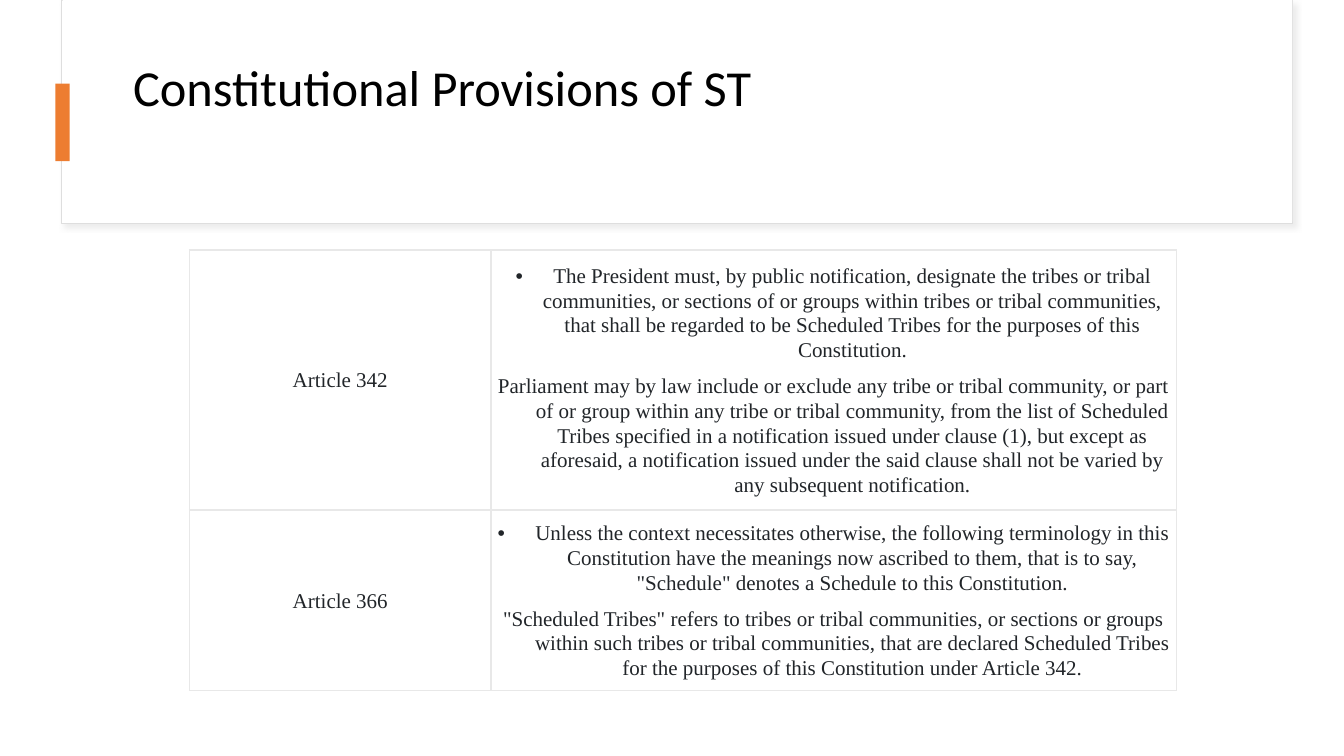
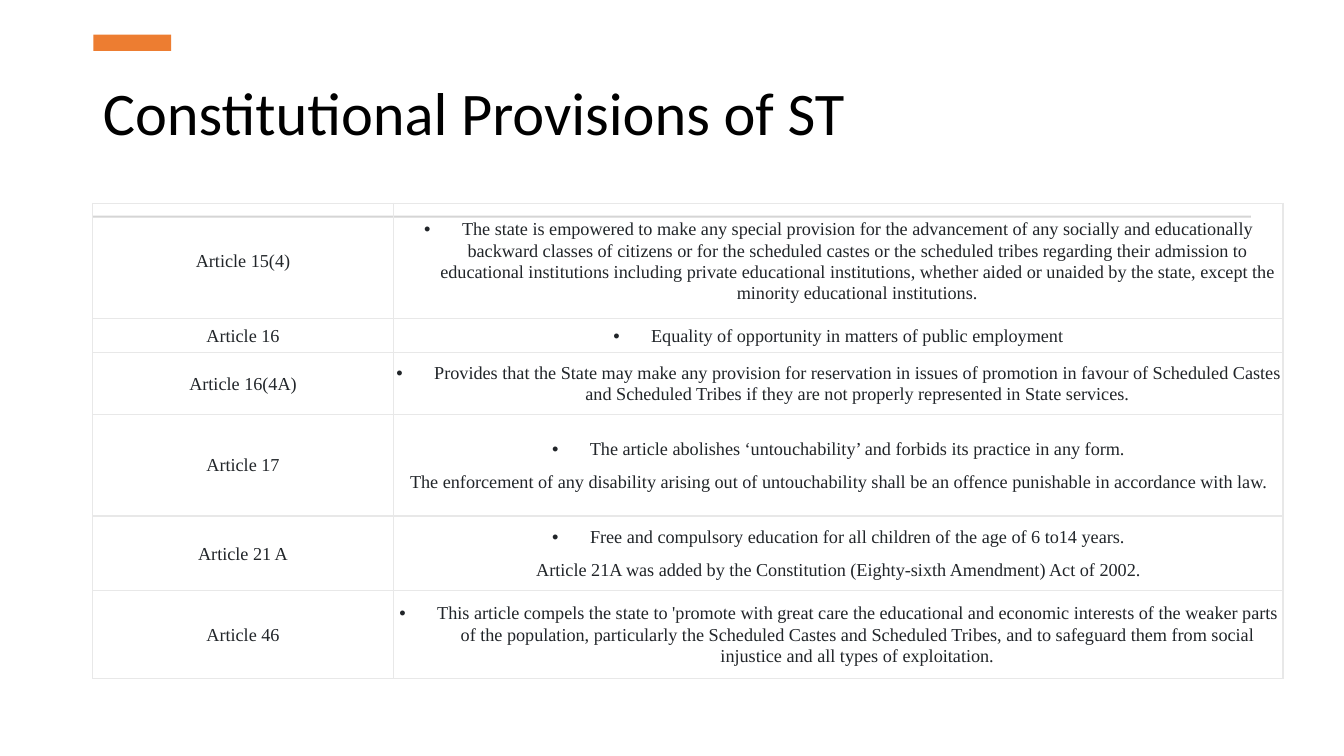
"""Build two slides on the constitutional provisions for Scheduled Tribes."""
from dataclasses import dataclass

from lxml.etree import SubElement
from pptx import Presentation
from pptx.dml.color import RGBColor
from pptx.enum.shapes import MSO_SHAPE
from pptx.enum.text import MSO_ANCHOR, MSO_AUTO_SIZE, PP_ALIGN
from pptx.oxml.ns import qn
from pptx.util import Inches, Pt


@dataclass(frozen=True)
class Theme:
    """Colours, fonts, type sizes and spacing of the deck."""
    paper: str = "FFFFFF"
    accent: str = "ED7D31"
    card_edge: str = "DEDEDE"
    card_shadow: str = "D9D9D9"
    rule: str = "D5D5D5"
    border: str = "E8E8E8"
    heading: str = "000000"
    body: str = "212529"
    heading_font: str = "Calibri"
    body_font: str = "Times New Roman"
    heading_size: float = 36
    large_heading_size: float = 43.2
    body_size: float = 15
    small_body_size: float = 13
    cell_inset: float = 0.75
    hanging: float = 27
    tab: float = 36


HEADING = "Constitutional Provisions of ST"

DEFINITIONS = [
    ("Article 342", [
        "The President must, by public notification, designate the tribes or tribal communities, or sections of or groups within tribes or tribal communities, that shall be regarded to be Scheduled Tribes for the purposes of this Constitution.",
        "Parliament may by law include or exclude any tribe or tribal community, or part of or group within any tribe or tribal community, from the list of Scheduled Tribes specified in a notification issued under clause (1), but except as aforesaid, a notification issued under the said clause shall not be varied by any subsequent notification.",
    ]),
    ("Article 366", [
        'Unless the context necessitates otherwise, the following terminology in this Constitution have the meanings now ascribed to them, that is to say, "Schedule" denotes a Schedule to this Constitution.',
        '"Scheduled Tribes" refers to tribes or tribal communities, or sections or groups within such tribes or tribal communities, that are declared Scheduled Tribes for the purposes of this Constitution under Article 342.',
    ]),
]

SAFEGUARDS = [
    ("Article 15(4)", [
        "The state is empowered to make any special provision for the advancement of any socially and educationally backward classes of citizens or for the scheduled castes or the scheduled tribes regarding their admission to educational institutions including private educational institutions, whether aided or unaided by the state, except the minority educational institutions.",
    ]),
    ("Article 16", [
        "Equality of opportunity in matters of public employment",
    ]),
    ("Article 16(4A)", [
        "Provides that the State may make any provision for reservation in issues of promotion in favour of Scheduled Castes and Scheduled Tribes if they are not properly represented in State services.",
    ]),
    ("Article 17", [
        "The article abolishes ‘untouchability’ and forbids its practice in any form.",
        "The enforcement of any disability arising out of untouchability shall be an offence punishable in accordance with law.",
    ]),
    ("Article 21 A", [
        "Free and compulsory education for all children of the age of 6 to14 years.",
        "Article 21A was added by the Constitution (Eighty-sixth Amendment) Act of 2002.",
    ]),
    ("Article 46", [
        "This article compels the state to 'promote with great care the educational and economic interests of the weaker parts of the population, particularly the Scheduled Castes and Scheduled Tribes, and to safeguard them from social injustice and all types of exploitation.",
    ]),
]


def assign(target, values):
    """Set each attribute of the target named in values."""
    for name, value in values.items():
        setattr(target, name, value)


class Deck:
    """Holds the theme and current slide; lengths are percentages of the slide."""

    def __init__(self, theme):
        """Start an empty widescreen presentation."""
        self.theme = theme
        self.presentation = Presentation()
        assign(self.presentation, {"slide_width": Inches(13.333), "slide_height": Inches(7.5)})
        self.slide = None

    def across(self, share):
        """Return a percentage of the slide width."""
        return round(self.presentation.slide_width * share / 100)

    def down(self, share):
        """Return a percentage of the slide height."""
        return round(self.presentation.slide_height * share / 100)

    def place(self, left, top, width, height):
        """Return a box given in shares as slide lengths."""
        return self.across(left), self.down(top), self.across(width), self.down(height)

    def new_slide(self):
        """Add a slide that has only a title."""
        self.slide = self.presentation.slides.add_slide(self.presentation.slide_layouts[5])

    def style_run(self, run, font, size, color):
        """Apply font, size and colour to a run."""
        assign(run.font, {"name": font, "size": Pt(size), "bold": False})
        run.font.color.rgb = RGBColor.from_string(color)

    def title(self, wording, box, size, anchor):
        """Fill and move the title placeholder, in front of what is drawn so far."""
        title = self.slide.shapes.title
        assign(title, dict(zip(("left", "top", "width", "height"), self.place(*box))))
        frame = title.text_frame
        assign(frame, {"text": wording, "vertical_anchor": anchor,
                       "word_wrap": True, "auto_size": MSO_AUTO_SIZE.NONE})
        line = frame.paragraphs[0]
        assign(line, {"alignment": PP_ALIGN.LEFT, "line_spacing": 0.9})
        self.style_run(line.runs[0], self.theme.heading_font, size, self.theme.heading)
        self.slide.shapes._spTree.append(title._element)

    def block(self, box, color, edge=None):
        """Draw a plain rectangle, outlined if an edge colour is given."""
        block = self.slide.shapes.add_shape(MSO_SHAPE.RECTANGLE, *self.place(*box))
        block.shadow.inherit = False
        block.fill.solid()
        block.fill.fore_color.rgb = RGBColor.from_string(color)
        if edge:
            block.line.color.rgb = RGBColor.from_string(edge)
            block.line.width = Pt(0.75)
        else:
            block.line.fill.background()
        return block

    def card(self, outline, face):
        """Draw the heading card with its soft shadow."""
        card = self.block(outline, self.theme.paper, self.theme.card_edge)
        effects = card._element.spPr.find(qn("a:effectLst"))
        shadow = SubElement(effects, qn("a:outerShdw"), blurRad=str(Pt(4)), dist=str(Pt(3)),
                            dir="2700000", algn="tl", rotWithShape="0")
        tint = SubElement(shadow, qn("a:srgbClr"), val=self.theme.card_shadow)
        SubElement(tint, qn("a:alpha"), val="50000")
        self.block(face, self.theme.paper)

    def border(self, cell):
        """Draw a thin line on all four sides of a cell."""
        properties = cell._tc.get_or_add_tcPr()
        for position, side in enumerate(("lnL", "lnR", "lnT", "lnB")):
            line = SubElement(properties, qn(f"a:{side}"), w=str(Pt(1)))
            fill = SubElement(line, qn("a:solidFill"))
            SubElement(fill, qn("a:srgbClr"), val=self.theme.border)
            properties.insert(position, line)

    def hang(self, paragraph, bulleted):
        """Give a paragraph a hanging indent, a tab stop and perhaps a bullet."""
        properties = paragraph._p.get_or_add_pPr()
        indent = Pt(self.theme.hanging)
        properties.set("marL", str(indent))
        properties.set("indent", str(-indent))
        if bulleted:
            SubElement(properties, qn("a:buFont"), typeface="Arial")
            SubElement(properties, qn("a:buChar"), char="•")
        else:
            SubElement(properties, qn("a:buNone"))
        tabs = SubElement(properties, qn("a:tabLst"))
        SubElement(tabs, qn("a:tab"), pos=str(Pt(self.theme.tab)), algn="l")

    def fill_cell(self, cell, statements, size, hanging):
        """Write centred statements in a bordered, unfilled cell."""
        sides = ("margin_left", "margin_right", "margin_top", "margin_bottom")
        assign(cell, dict.fromkeys(sides, Pt(self.theme.cell_inset)))
        cell.vertical_anchor = MSO_ANCHOR.MIDDLE
        cell.fill.background()
        self.border(cell)
        cell.text_frame.text = "\n".join(statements)
        for order, paragraph in enumerate(cell.text_frame.paragraphs):
            assign(paragraph, {"alignment": PP_ALIGN.CENTER, "line_spacing": 1.07,
                               "space_after": Pt(8)})
            self.style_run(paragraph.runs[0], self.theme.body_font, size, self.theme.body)
            if hanging:
                self.hang(paragraph, bulleted=order == 0)

    def articles(self, corner, columns, rows, provisions, size):
        """Add a table of articles and what each provides."""
        box = self.place(*corner, sum(columns), sum(rows))
        table = self.slide.shapes.add_table(len(rows), len(columns), *box).table
        assign(table, {"first_row": False, "horz_banding": False})
        for column, share in zip(table.columns, columns):
            column.width = self.across(share)
        for row, share, (article, statements) in zip(table.rows, rows, provisions):
            row.height = self.down(share)
            self.fill_cell(row.cells[0], [article], size, hanging=False)
            self.fill_cell(row.cells[1], statements, size, hanging=True)


def main():
    """Build both slides and save the deck."""
    theme = Theme()
    deck = Deck(theme)

    deck.new_slide()
    deck.card((4.58, 0.13, 91.58, 29.47), (4.65, 0, 91.5, 29.33))
    deck.title(HEADING, (9.15, 8, 83.4, 7.87), theme.heading_size, MSO_ANCHOR.MIDDLE)
    deck.block((4.13, 11.07, 1.05, 10.27), theme.accent)
    deck.articles((14.1, 33.07), (22.43, 51), (34.4, 23.87), DEFINITIONS, theme.body_size)

    deck.new_slide()
    deck.title(HEADING, (6.9, 10, 84.53, 10.27), theme.large_heading_size, MSO_ANCHOR.BOTTOM)
    deck.block((6.95, 4.6, 5.78, 2.13), theme.accent)
    deck.block((6.9, 28.53, 86.18, 0.27), theme.rule)
    deck.articles((6.9, 26.93), (22.35, 66.22), (15.2, 4.53, 8.13, 13.47, 9.87, 11.6),
                  SAFEGUARDS, theme.small_body_size)

    deck.presentation.save("out.pptx")


if __name__ == "__main__":
    main()
